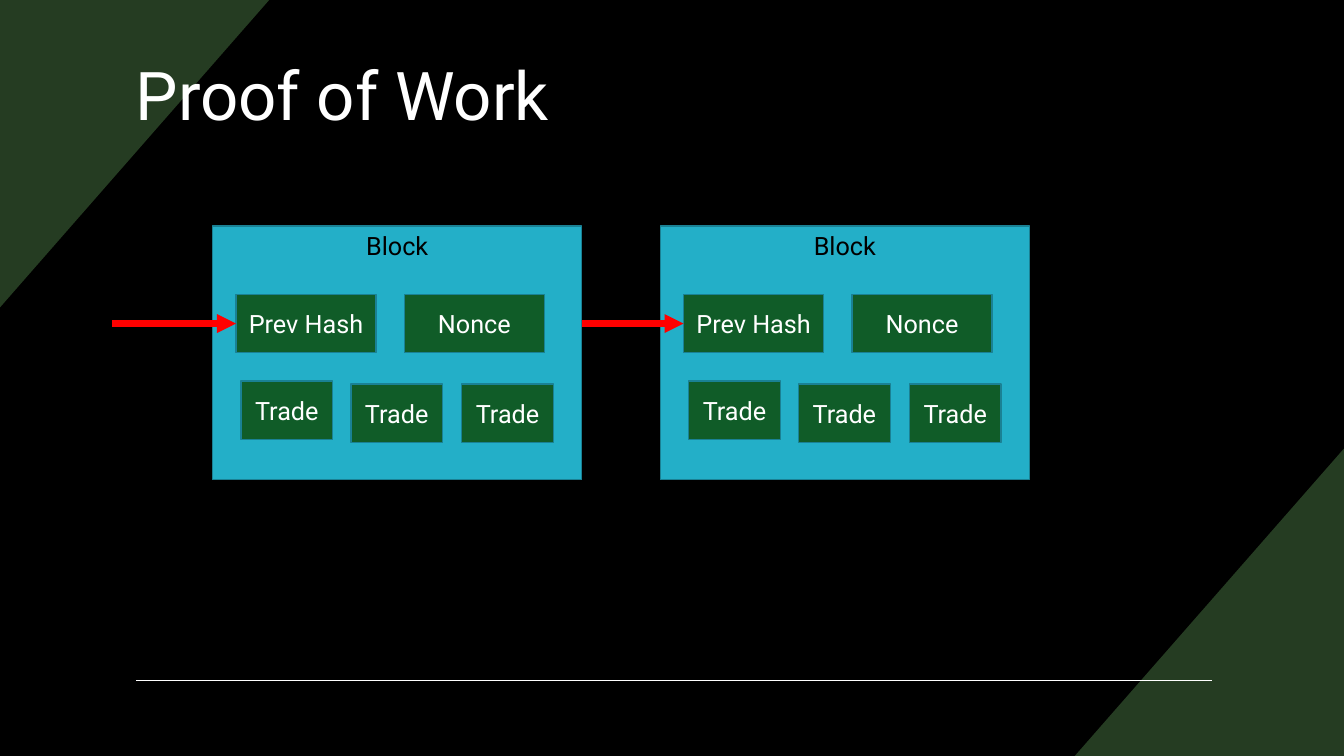
from dataclasses import dataclass

from lxml.etree import SubElement
from pptx import Presentation
from pptx.dml.color import RGBColor as Color
from pptx.enum.shapes import MSO_CONNECTOR as Link, MSO_SHAPE as Shape
from pptx.enum.text import MSO_ANCHOR as Anchor, PP_ALIGN as Align
from pptx.oxml.ns import qn
from pptx.slide import Slide
from pptx.text.text import TextFrame
from pptx.util import Emu, Pt


@dataclass(frozen=True)
class Theme:
    font: str = "Roboto"
    back: str = "000000"
    wedge: str = "253C22"
    block: str = "23AFC8"
    cell: str = "105C28"
    edge: str = "1A8194"
    arrow: str = "FF0000"
    light: str = "FFFFFF"
    dark: str = "000000"
    title: int = 48
    body: int = 18
    thin: float = 1
    thick: float = 4.5


@dataclass(frozen=True)
class Box:
    text: str
    x: int
    y: int
    w: int
    h: int


THEME = Theme()
WIDE, HIGH = 1333, 750  # 100 px to the inch
WEDGE_W, WEDGE_H = 267, 305
TITLE = Box("Proof of Work", 125, 18, 1083, 149)
BLOCK = Box("Block", 0, 224, 366, 252)
BLOCK_XS = (211, 655)
HASH = Box("Prev Hash", 23, 292, 139, 58)
# Cell x values count from the left edge of their block
CELLS = (
    HASH,
    Box("Nonce", 190, 292, 139, 58),
    Box("Trade", 28, 378, 91, 58),
    Box("Trade", 137, 381, 91, 58),
    Box("Trade", 247, 381, 91, 58),
)
ARROW_Y = HASH.y + HASH.h // 2
ARROW_XS = (111, BLOCK_XS[0] + BLOCK.w)


def px(count: int) -> Emu:
    return Emu(count * 9144)


def write(frame: TextFrame, text: str, size: int, color: str,
          align: Align, anchor: Anchor) -> None:
    frame.word_wrap = True
    frame.vertical_anchor = anchor
    line = frame.paragraphs[0]
    line.text = text
    line.alignment = align
    font = line.runs[0].font
    font.name, font.size = THEME.font, Pt(size)
    font.color.rgb = Color.from_string(color)


def add_wedge(slide: Slide, points: list[tuple[int, int]]) -> None:
    pen = slide.shapes.build_freeform(*points[0], scale=px(1))
    pen.add_line_segments(points[1:], close=True)
    wedge = pen.convert_to_shape()
    wedge.shadow.inherit = False
    wedge.fill.solid()
    wedge.fill.fore_color.rgb = Color.from_string(THEME.wedge)
    wedge.line.fill.background()


def add_box(slide: Slide, box: Box, left: int, fill: str, color: str,
            anchor: Anchor) -> None:
    rect = slide.shapes.add_shape(Shape.RECTANGLE, px(left + box.x), px(box.y),
                                  px(box.w), px(box.h))
    rect.shadow.inherit = False
    rect.fill.solid()
    rect.fill.fore_color.rgb = Color.from_string(fill)
    rect.line.color.rgb = Color.from_string(THEME.edge)
    rect.line.width = Pt(THEME.thin)
    write(rect.text_frame, box.text, THEME.body, color, Align.CENTER, anchor)


def add_line(slide: Slide, start: int, end: int, y: int, color: str,
             width: float, head: bool = False) -> None:
    line = slide.shapes.add_connector(Link.STRAIGHT, px(start), px(y), px(end), px(y))
    line.line.color.rgb = Color.from_string(color)
    line.line.width = Pt(width)
    props = line._element.spPr
    if head:
        SubElement(props.find(qn("a:ln")), qn("a:tailEnd"), type="triangle")
    SubElement(props, qn("a:effectLst"))


def main() -> None:
    deck = Presentation()
    deck.slide_width, deck.slide_height = px(WIDE), px(HIGH)
    slide = deck.slides.add_slide(deck.slide_layouts[6])

    # Backdrop
    slide.background.fill.solid()
    slide.background.fill.fore_color.rgb = Color.from_string(THEME.back)
    add_wedge(slide, [(WIDE, HIGH - WEDGE_H), (WIDE, HIGH), (WIDE - WEDGE_W, HIGH)])
    add_wedge(slide, [(0, WEDGE_H), (0, 0), (WEDGE_W, 0)])
    add_line(slide, 135, 1202, 675, THEME.light, THEME.thin)

    # Title
    title = slide.shapes.add_textbox(px(TITLE.x), px(TITLE.y), px(TITLE.w), px(TITLE.h))
    write(title.text_frame, TITLE.text, THEME.title, THEME.light,
          Align.LEFT, Anchor.MIDDLE)

    # Blocks and their cells
    for left in BLOCK_XS:
        add_box(slide, BLOCK, left, THEME.block, THEME.dark, Anchor.TOP)
        for cell in CELLS:
            add_box(slide, cell, left, THEME.cell, THEME.light, Anchor.MIDDLE)

    # Arrows into each previous hash
    for start, left in zip(ARROW_XS, BLOCK_XS):
        add_line(slide, start, left + HASH.x, ARROW_Y, THEME.arrow, THEME.thick, True)

    deck.save("out.pptx")


if __name__ == "__main__":
    main()
